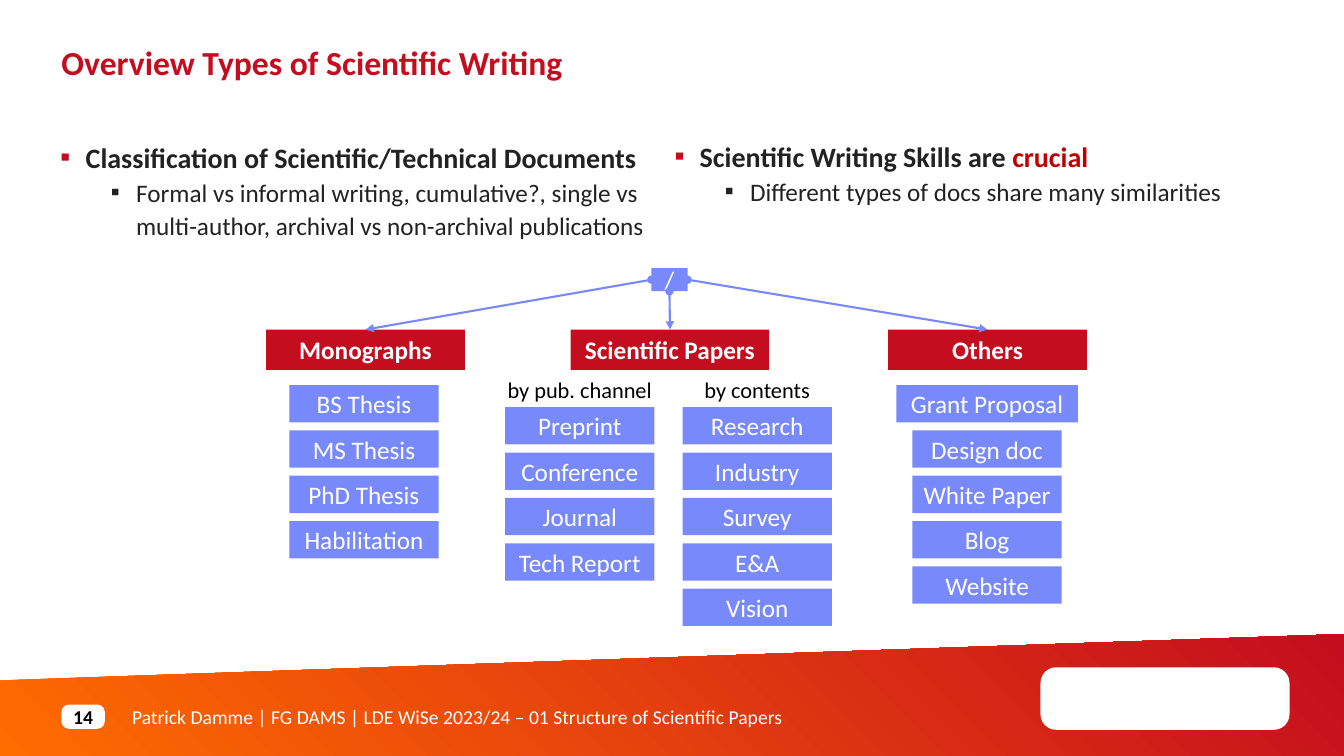
import dataclasses
import typing

import lxml.etree
import pptx
import pptx.dml.color
import pptx.enum.shapes
import pptx.enum.text
import pptx.oxml.ns
import pptx.util

Inches = pptx.util.Inches
Pt = pptx.util.Pt
SHAPE = pptx.enum.shapes.MSO_SHAPE
ALIGN = pptx.enum.text.PP_ALIGN
ANCHOR = pptx.enum.text.MSO_ANCHOR
FIT = pptx.enum.text.MSO_AUTO_SIZE

RED, BLUE, ORANGE = "C40D1E", "7889FB", "FF6C00"
WHITE, BLACK, DARK, CRUCIAL = "FFFFFF", "000000", "222222", "C00000"

BARE = dict(margin_left=0, margin_top=0, margin_right=0, margin_bottom=0)
TOP = dict(BARE, word_wrap=True, auto_size=FIT.NONE, vertical_anchor=ANCHOR.TOP)
MID = dict(word_wrap=True, vertical_anchor=ANCHOR.MIDDLE)
LABEL = dict(word_wrap=False)

STEP = 0.45
HEAD_TOP = 3.27


class Area(typing.NamedTuple):
    left: float
    top: float
    width: float
    height: float

    def emu(self) -> list:
        return [Inches(v) for v in self]


class Span(typing.NamedTuple):
    text: str
    size: int
    color: str
    bold: bool = False


@dataclasses.dataclass
class Column:
    mid: float
    top: float
    items: list
    label: str = ""
    wide: tuple = ()


@dataclasses.dataclass
class Group:
    title: str
    mid: float
    site: int
    columns: list


GROUPS = [
    Group("Monographs", 3.62, 1, [
        Column(3.61, 3.82, ["BS Thesis", "MS Thesis", "PhD Thesis", "Habilitation"])]),
    Group("Scientific Papers", 6.64, 2, [
        Column(5.75, 4.04, ["Preprint", "Conference", "Journal", "Tech Report"],
               "by pub. channel"),
        Column(7.51, 4.04, ["Research", "Industry", "Survey", "E&A", "Vision"],
               "by contents")]),
    Group("Others", 9.79, 3, [
        Column(9.79, 3.82,
               ["Grant Proposal", "Design doc", "White Paper", "Blog", "Website"],
               wide=("Grant Proposal",))]),
]

POINTS = [
    (Area(0.6, 1.39, 6.06, 1.03),
     [Span("Classification of Scientific/Technical Documents", 20, DARK, True)],
     "Formal vs informal writing, cumulative?, single vs "
     "multi-author, archival vs non-archival publications"),
    (Area(6.69, 1.38, 6.06, 1.03),
     [Span("Scientific Writing Skills are ", 20, DARK, True),
      Span("crucial", 20, CRUCIAL, True)],
     "Different types of docs share many similarities"),
]


def rgb(code: str):
    return pptx.dml.color.RGBColor.from_string(code)


def apply(target, values: dict) -> None:
    for name, value in values.items():
        setattr(target, name, value)


def add_tag(parent, tag: str, **attrs):
    return lxml.etree.SubElement(parent, pptx.oxml.ns.qn(tag), **attrs)


def write(para, spans: list, **values) -> None:
    apply(para, values)
    for span in spans:
        run = para.add_run()
        run.text = span.text
        apply(run.font, dict(name="Calibri", size=Pt(span.size), bold=span.bold))
        run.font.color.rgb = rgb(span.color)


def bullet(para, spans: list, level: int, color: str) -> None:
    props = para._p.get_or_add_pPr()
    apply_indent = dict(marL=Inches(0.25 + 0.5 * level), indent=Inches(-0.25))
    for name, value in apply_indent.items():
        props.set(name, str(value))
    add_tag(add_tag(props, "a:buClr"), "a:srgbClr", val=color)
    add_tag(props, "a:buFont", typeface="Calibri")
    add_tag(props, "a:buChar", char="▪")
    write(para, spans, level=level, alignment=ALIGN.LEFT,
          line_spacing=Pt(24), space_before=Pt(0))


def place(holder, area: Area):
    """Move a placeholder and return its formatted text frame."""
    apply(holder, dict(zip(("left", "top", "width", "height"), area.emu())))
    apply(holder.text_frame, TOP)
    return holder.text_frame


def add_box(shapes, area: Area, fill: str, span=None, kind=SHAPE.RECTANGLE,
            frame: dict = MID, round_by: float = 0):
    box = shapes.add_shape(kind, *area.emu())
    box.shadow.inherit = False
    box.fill.solid()
    box.fill.fore_color.rgb = rgb(fill)
    box.line.fill.background()
    if round_by:
        box.adjustments[0] = round_by
    if span:
        apply(box.text_frame, frame)
        write(box.text_frame.paragraphs[0], [span], alignment=ALIGN.CENTER)
    return box


def add_text(shapes, area: Area, span: Span, frame: dict, align) -> None:
    box = shapes.add_textbox(*area.emu())
    apply(box.text_frame, frame)
    write(box.text_frame.paragraphs[0], [span], alignment=align)


def add_arrow(shapes, start, site: int, end) -> None:
    arrow = shapes.add_connector(pptx.enum.shapes.MSO_CONNECTOR.STRAIGHT, 0, 0, 0, 0)
    arrow.begin_connect(start, site)
    arrow.end_connect(end, 0)
    arrow.line.color.rgb = rgb(BLUE)
    arrow.line.width = Pt(1.5)
    line = arrow.get_or_add_ln()
    add_tag(line, "a:headEnd", type="oval")
    add_tag(line, "a:tailEnd", type="triangle")
    add_tag(arrow.element.spPr, "a:effectLst")


def add_footer(shapes) -> None:
    corners = [(Inches(x), Inches(y))
               for x, y in ((0, 6.75), (13.33, 6.29), (13.33, 7.5), (0, 7.5))]
    outline = shapes.build_freeform(*corners[0], scale=1.0)
    outline.add_line_segments(corners[1:])
    band = outline.convert_to_shape()
    band.shadow.inherit = False
    band.line.fill.background()
    band.fill.gradient()
    band.fill.gradient_angle = 45
    for stop, color in zip(band.fill.gradient_stops, (ORANGE, RED)):
        stop.color.rgb = rgb(color)
    line = "Patrick Damme | FG DAMS | LDE WiSe 2023/24 – 01 Structure of Scientific Papers"
    add_text(shapes, Area(1.31, 6.99, 8.33, 0.24), Span(line, 14, WHITE),
             MID | BARE, ALIGN.LEFT)
    add_box(shapes, Area(10.32, 6.62, 2.47, 0.62), WHITE,
            kind=SHAPE.ROUNDED_RECTANGLE, round_by=0.25)
    add_box(shapes, Area(0.61, 6.99, 0.43, 0.24), WHITE, Span("14", 14, BLACK, True),
            SHAPE.ROUNDED_RECTANGLE, MID | BARE, 0.3)


def add_column(shapes, col: Column) -> None:
    for row, item in enumerate(col.items):
        width = 1.8 if item in col.wide else 1.48
        area = Area(col.mid - width / 2, col.top + row * STEP, width, 0.37)
        add_box(shapes, area, BLUE, Span(item, 18, WHITE))
    if col.label:
        add_text(shapes, Area(col.mid - 0.82, 3.68, 1.64, 0.37),
                 Span(col.label, 16, BLACK), LABEL, ALIGN.CENTER)


def main() -> None:
    deck = pptx.Presentation()
    apply(deck, dict(slide_width=Inches(13.33), slide_height=Inches(7.5)))
    slide = deck.slides.add_slide(deck.slide_layouts.get_by_name("Two Content"))
    shapes = slide.shapes
    title, *bodies = slide.placeholders
    write(place(title, Area(0.61, 0.43, 9.09, 0.78)).paragraphs[0],
          [Span("Overview Types of Scientific Writing", 24, RED, True)],
          alignment=ALIGN.LEFT, line_spacing=Pt(28))
    for body, (area, lead, detail) in zip(bodies, POINTS):
        frame = place(body, area)
        bullet(frame.paragraphs[0], lead, 0, RED)
        bullet(frame.add_paragraph(), [Span(detail, 18, DARK)], 1, DARK)
    add_footer(shapes)
    root = add_box(shapes, Area(6.46, 2.66, 0.36, 0.23), BLUE, Span("/", 18, WHITE))
    for group in GROUPS:
        head = add_box(shapes, Area(group.mid - 0.98, HEAD_TOP, 1.97, 0.4), RED,
                       Span(group.title, 18, WHITE, True))
        add_arrow(shapes, root, group.site, head)
        for col in group.columns:
            add_column(shapes, col)
    deck.save("out.pptx")


if __name__ == "__main__":
    main()
